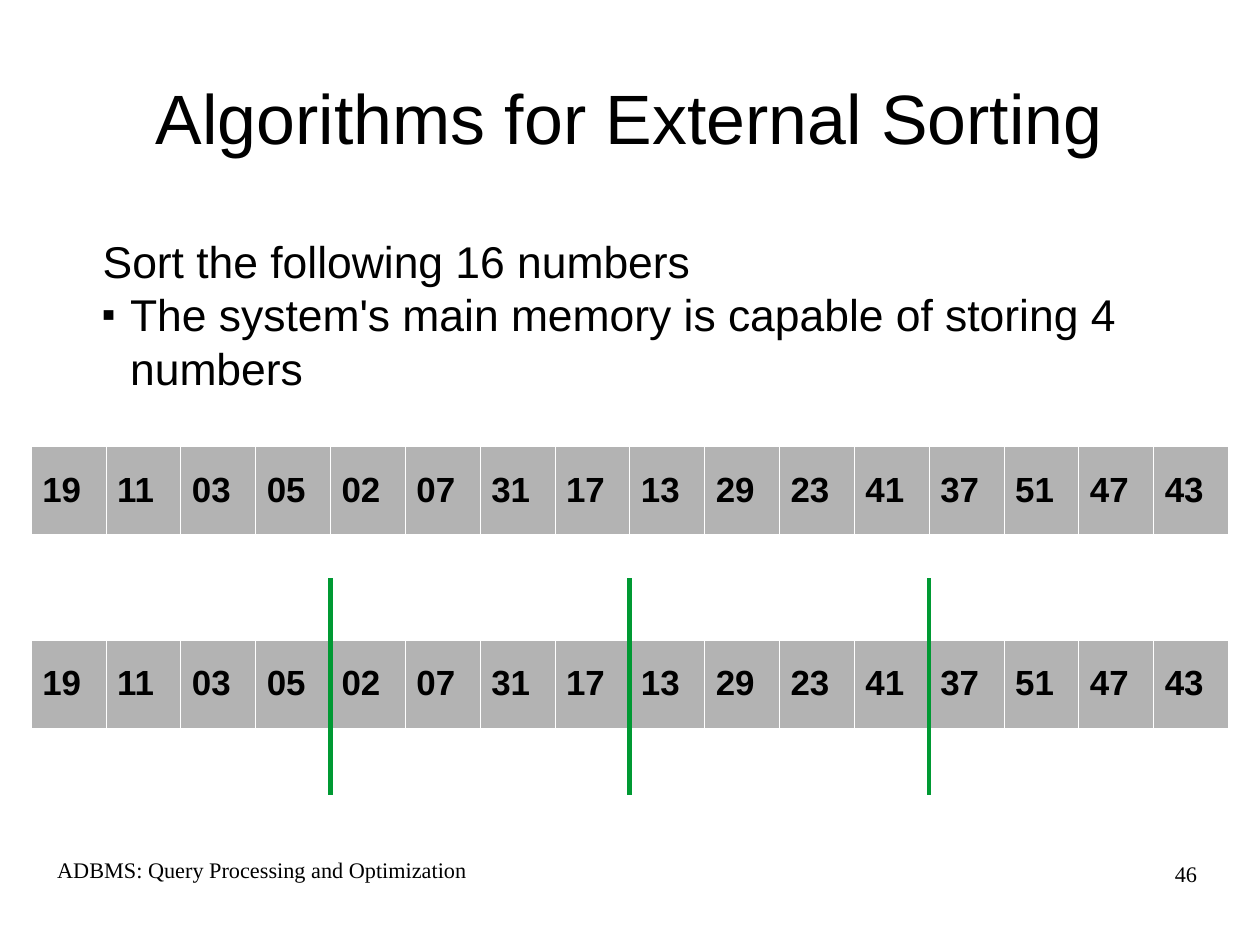
from lxml.etree import SubElement as Sub
from pptx import Presentation
from pptx.dml.color import RGBColor as Rgb
from pptx.enum.shapes import MSO_CONNECTOR as Link
from pptx.enum.text import MSO_ANCHOR as Anchor, PP_ALIGN as Align
from pptx.oxml.ns import qn
from pptx.util import Cm, Inches, Pt

HUE = {"ink": "000000", "cell": "B3B3B3", "edge": "FFFFFF", "split": "009933"}
deck = Presentation()
deck.slide_width, deck.slide_height = Cm(28), Cm(21)
slide = deck.slides.add_slide(deck.slide_layouts[6])
shapes = slide.shapes


def place(*spots):
    sides = (deck.slide_width, deck.slide_height) * 2
    return [round(side * spot / 100) for side, spot in zip(sides, spots)]


def write(para, text, size, face="Arial", bold=False):
    run = para.add_run()
    run.text = text
    run.font.size, run.font.name, run.font.bold = Pt(size), face, bold
    run.font.color.rgb = Rgb.from_string(HUE["ink"])


LABELS = [
    ((4.54, 90.65, 45.37, 6.89), "ADBMS: Query Processing and Optimization",
     14, "Times New Roman", Align.LEFT, Anchor.TOP),
    ((71.69, 91.05, 23.32, 6.89), "46", 14, "Times New Roman", Align.RIGHT, Anchor.TOP),
    ((4.99, 3.99, 90.02, 16.69), "Algorithms for External Sorting",
     44, "Arial", Align.CENTER, Anchor.MIDDLE),
]
for spot, text, size, face, align, anchor in LABELS:
    frame = shapes.add_textbox(*place(*spot)).text_frame
    frame.word_wrap, frame.vertical_anchor = True, anchor
    frame.margin_left = frame.margin_right = frame.margin_top = frame.margin_bottom = 0
    frame.paragraphs[0].alignment = align
    write(frame.paragraphs[0], text, size, face)

body = shapes.add_textbox(*place(7.26, 24.18, 88.93, 16.93)).text_frame
body.word_wrap = True
lead, point = body.paragraphs[0], body.add_paragraph()
props = point._p.get_or_add_pPr()
props.set("marL", str(Inches(0.24)))
props.set("indent", str(-Inches(0.24)))
tint = Sub(props, qn("a:buClr"))
Sub(tint, qn("a:srgbClr"), val=HUE["ink"])
Sub(props, qn("a:buSzPct"), val="45000")
Sub(props, qn("a:buFont"), typeface="Arial")
Sub(props, qn("a:buChar"), char="■")
write(lead, "Sort the following 16 numbers", 28)
write(point, "The system's main memory is capable of storing 4 numbers", 28)

NUMS = "19 11 03 05 02 07 31 17 13 29 23 41 37 51 47 43".split()
LEFT, STEP, TALL = 2.45, 5.94, 9.31
for top in (47.25, 67.71):
    spot = place(LEFT, top, STEP * len(NUMS), TALL)
    grid = shapes.add_table(1, len(NUMS), *spot).table
    grid.first_row = grid.horz_banding = False
    for col, num in enumerate(NUMS):
        grid.columns[col].width = place(STEP)[0]
        cell = grid.cell(0, col)
        cell.vertical_anchor = Anchor.MIDDLE
        write(cell.text_frame.paragraphs[0], num, 22, bold=True)
        props = cell._tc.get_or_add_tcPr()
        for side in ("lnL", "lnR", "lnT", "lnB"):
            edge = Sub(props, qn("a:" + side), w=str(Pt(0.06)))
            fill = Sub(edge, qn("a:solidFill"))
            Sub(fill, qn("a:srgbClr"), val=HUE["edge"])
        cell.fill.solid()
        cell.fill.fore_color.rgb = Rgb.from_string(HUE["cell"])

MEMORY = 4
for col in range(MEMORY, len(NUMS), MEMORY):
    x = LEFT + col * STEP
    split = shapes.add_connector(Link.STRAIGHT, *place(x, 61.19, x, 84.16))
    split.line.color.rgb = Rgb.from_string(HUE["split"])
    split.line.width = Pt(2.89)
    Sub(split._element.spPr, qn("a:effectLst"))

deck.save("out.pptx")
